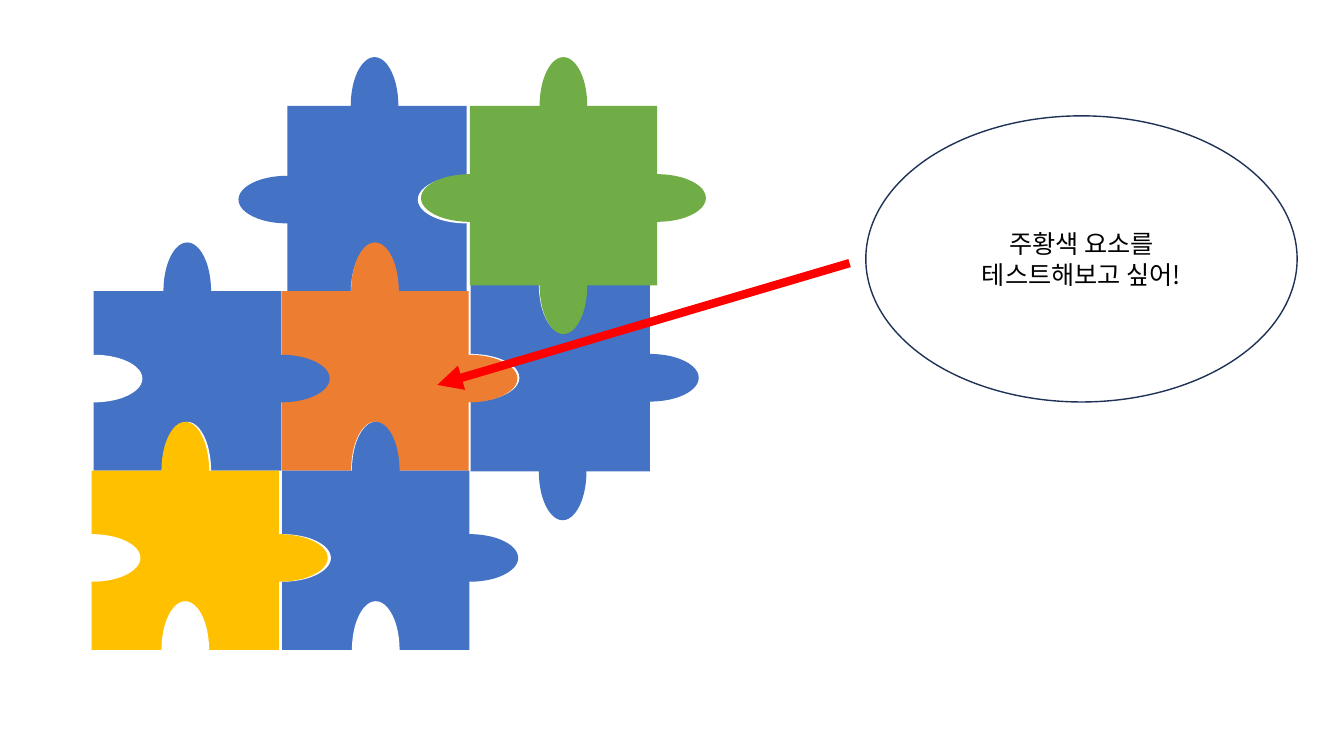
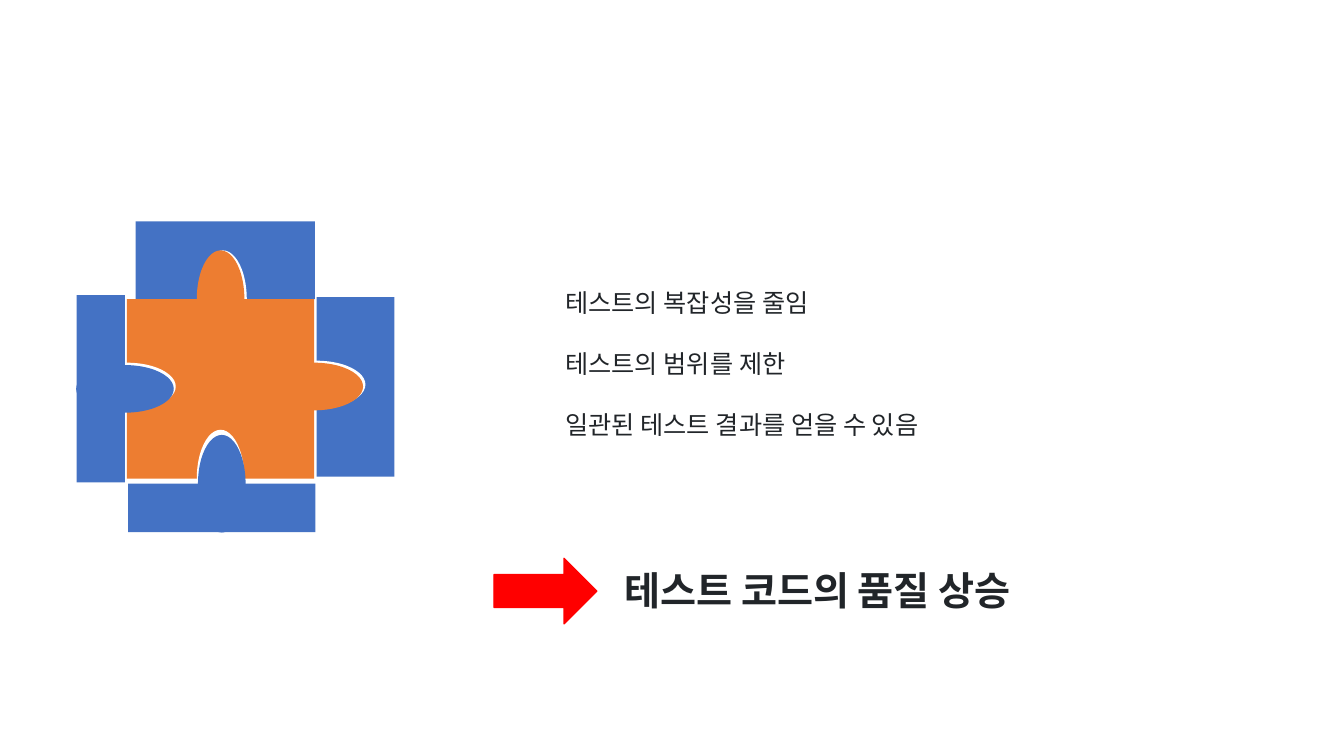
from dataclasses import dataclass

from lxml import etree
from pptx import Presentation
from pptx import util as u
from pptx.dml import color
from pptx.enum import shapes, text
from pptx.oxml import ns


@dataclass(frozen=True)
class Theme:
    blue: str = "4472C4"
    orange: str = "ED7D31"
    green: str = "70AD47"
    yellow: str = "FFC000"
    red: str = "FF0000"
    white: str = "FFFFFF"
    outline: str = "1E3256"
    ink: str = "212529"
    black: str = "000000"
    bubble_font: str = "Noto Sans CJK KR"
    body_font: str = "Calibri"
    body_size: int = 18
    conclusion_size: int = 28
    line_pitch: int = 22


THEME = Theme()
LONG_SIDE, SHORT_SIDE = 4.72, 4.52
KNOB_LENGTH, KNOB_WIDTH = 2.46, 1.2
KNOB_SHIFT = {0: (0, -0.06), 90: (0.06, 0), 180: (0, 0.06), 270: (-0.06, 0)}
EDGES = {"left": (0, 0.5), "right": (1, 0.5), "top": (0.5, 0), "bottom": (0.5, 1)}


@dataclass(frozen=True)
class Piece:
    left: float
    top: float
    colour: str
    tabs: str = ""
    holes: str = ""
    turn: int = 0
    size: tuple = ()

    def body_size(self):
        if self.size:
            return self.size
        if self.turn % 180:
            return SHORT_SIDE, LONG_SIDE
        return LONG_SIDE, SHORT_SIDE


PUZZLE = (
    Piece(11.86, 7.16, THEME.blue, "bottom right", "top left", 90),
    Piece(7.24, 2.67, THEME.blue, "top left", "bottom right", 270),
    Piece(7.09, 7.34, THEME.orange, "right top", "bottom"),
    Piece(7.11, 11.86, THEME.blue, "right top", "left bottom"),
    Piece(2.36, 7.34, THEME.blue, "right top", "left bottom"),
    Piece(11.84, 2.67, THEME.green, "left right top bottom", "", 180),
    Piece(2.31, 11.86, THEME.yellow, "right top", "left bottom"),
)
ISOLATED_PIECE = (
    Piece(3.42, 5.58, THEME.blue, "", "bottom", 270, (SHORT_SIDE, 1.96)),
    Piece(7.98, 7.49, THEME.blue, "", "left", 0, (1.96, SHORT_SIDE)),
    Piece(3.2, 7.54, THEME.orange, "right top", "left bottom"),
    Piece(1.93, 7.44, THEME.blue, "right", "", 90, (1.22, LONG_SIDE)),
    Piece(3.23, 12.19, THEME.blue, "top", "", 0, (LONG_SIDE, 1.22)),
)


def rgb(value):
    return color.RGBColor.from_string(value)


def add_figure(parent, kind, box, fill=None, line=None):
    figure = parent.add_shape(kind, *map(u.Cm, box))
    figure.shadow.inherit = False
    if fill:
        figure.fill.solid()
        figure.fill.fore_color.rgb = rgb(fill)
    else:
        figure.fill.background()
    if line:
        figure.line.color.rgb = rgb(line)
        figure.line.width = u.Pt(1)
    else:
        figure.line.fill.background()
    return figure


def add_piece(slide, piece):
    group = slide.shapes.add_group_shape().shapes
    width, height = piece.body_size()
    add_figure(group, shapes.MSO_SHAPE.RECTANGLE,
               (piece.left, piece.top, width, height), piece.colour)
    shift_x, shift_y = KNOB_SHIFT[piece.turn]
    for sides, fill in ((piece.holes, THEME.white), (piece.tabs, piece.colour)):
        for side in sides.split():
            across, down = EDGES[side]
            knob_w, knob_h = KNOB_LENGTH, KNOB_WIDTH
            x, y = piece.left + across * width, piece.top + down * height
            if side in ("top", "bottom"):
                knob_w, knob_h = knob_h, knob_w
                x += shift_x
            else:
                y += shift_y
            add_figure(group, shapes.MSO_SHAPE.OVAL,
                       (x - knob_w / 2, y - knob_h / 2, knob_w, knob_h), fill)


def write(frame, lines, size, font, ink, bold=False, align=None, gap=0, pitch=None):
    frame.word_wrap = True
    frame.text = "\n".join(lines)
    for index, paragraph in enumerate(frame.paragraphs):
        paragraph.alignment = align
        if pitch:
            paragraph.line_spacing = u.Pt(pitch)
        if index and gap:
            paragraph.space_before = u.Pt(gap)
        for run in paragraph.runs:
            run.font.name = font
            run.font.size = u.Pt(size)
            run.font.bold = bold
            run.font.color.rgb = rgb(ink)
            east_asian = etree.SubElement(run.font._element, ns.qn("a:ea"))
            east_asian.set("typeface", font)


def add_text(slide, box, lines, size, **style):
    frame = slide.shapes.add_textbox(*map(u.Cm, box)).text_frame
    write(frame, lines, size, THEME.body_font, THEME.ink, **style)


def add_pointer(slide, start, end):
    pointer = slide.shapes.add_connector(
        shapes.MSO_CONNECTOR.STRAIGHT, *map(u.Cm, start + end))
    pointer.line.color.rgb = rgb(THEME.red)
    pointer.line.width = u.Pt(6)
    etree.SubElement(pointer.line._get_or_add_ln(), ns.qn("a:tailEnd"), type="triangle")
    etree.SubElement(pointer._element.spPr, ns.qn("a:effectLst"))


def add_bubble(slide, box, lines):
    bubble = add_figure(slide.shapes, shapes.MSO_SHAPE.OVAL, box, line=THEME.outline)
    bubble.text_frame.vertical_anchor = text.MSO_ANCHOR.MIDDLE
    write(bubble.text_frame, lines, THEME.body_size, THEME.bubble_font, THEME.black,
          align=text.PP_ALIGN.CENTER, pitch=THEME.line_pitch)


def add_puzzle_slide(deck, pieces):
    slide = deck.slides.add_slide(deck.slide_layouts[6])
    for piece in pieces:
        add_piece(slide, piece)
    return slide


def main():
    deck = Presentation()
    deck.slide_width, deck.slide_height = u.Cm(33.87), u.Cm(19.05)

    wish = add_puzzle_slide(deck, PUZZLE)
    add_pointer(wish, (21.41, 6.63), (11.02, 9.7))
    add_bubble(wish, (21.82, 2.92, 10.87, 7.21), ("주황색 요소를", "테스트해보고 싶어!"))

    benefits = add_puzzle_slide(deck, ISOLATED_PIECE)
    add_text(benefits, (14, 7.11, 14.88, 4.11),
             ("테스트의 복잡성을 줄임", "테스트의 범위를 제한", "일관된 테스트 결과를 얻을 수 있음"),
             THEME.body_size, gap=THEME.line_pitch)
    add_text(benefits, (15.49, 14.15, 16.94, 1.45), ("테스트 코드의 품질 상승",),
             THEME.conclusion_size, bold=True)
    add_figure(benefits.shapes, shapes.MSO_SHAPE.RIGHT_ARROW,
               (12.45, 14.07, 2.59, 1.65), THEME.red, THEME.red)

    deck.save("out.pptx")


if __name__ == "__main__":
    main()
